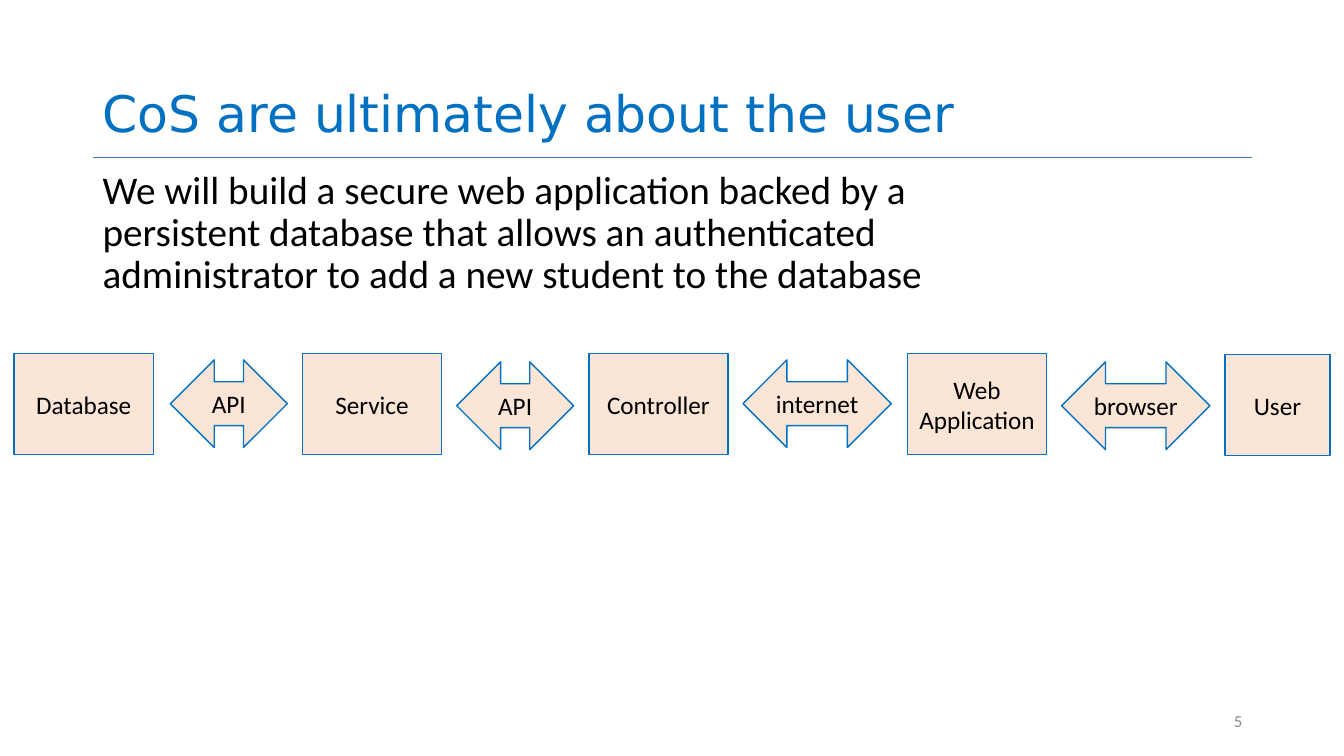
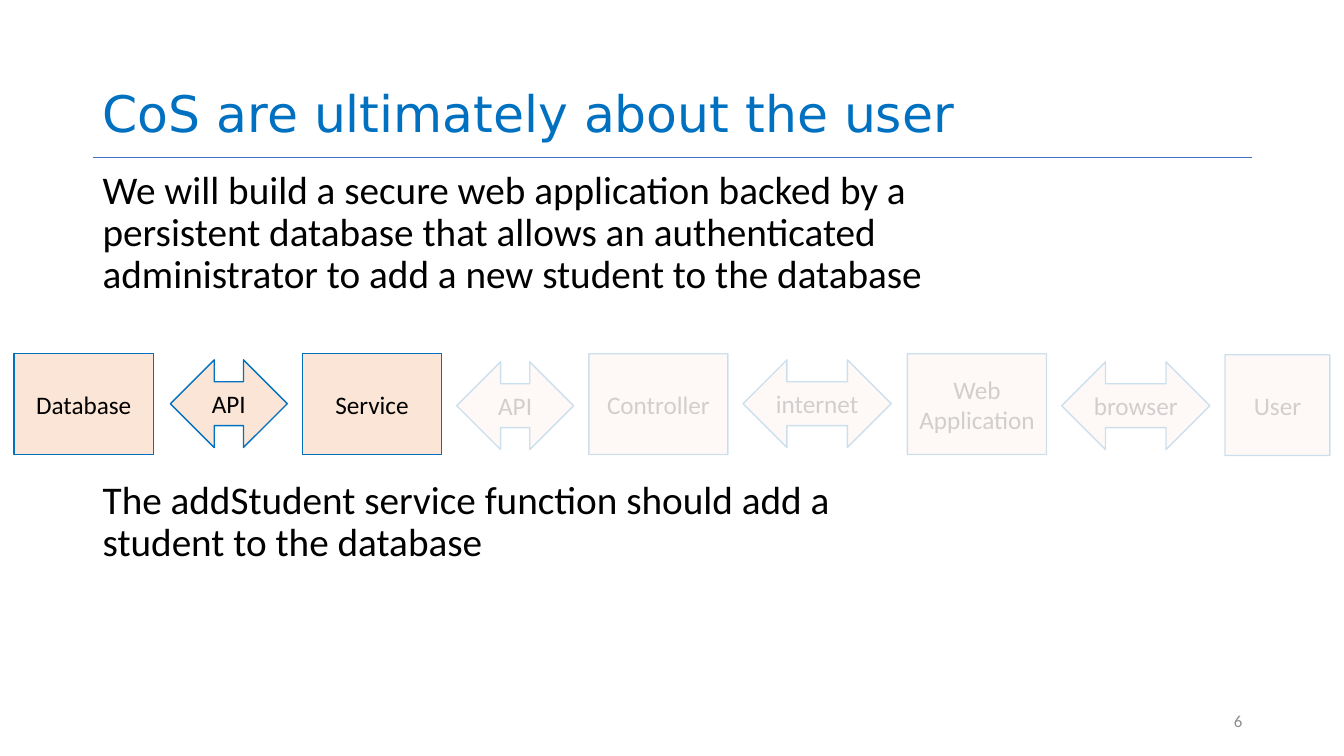
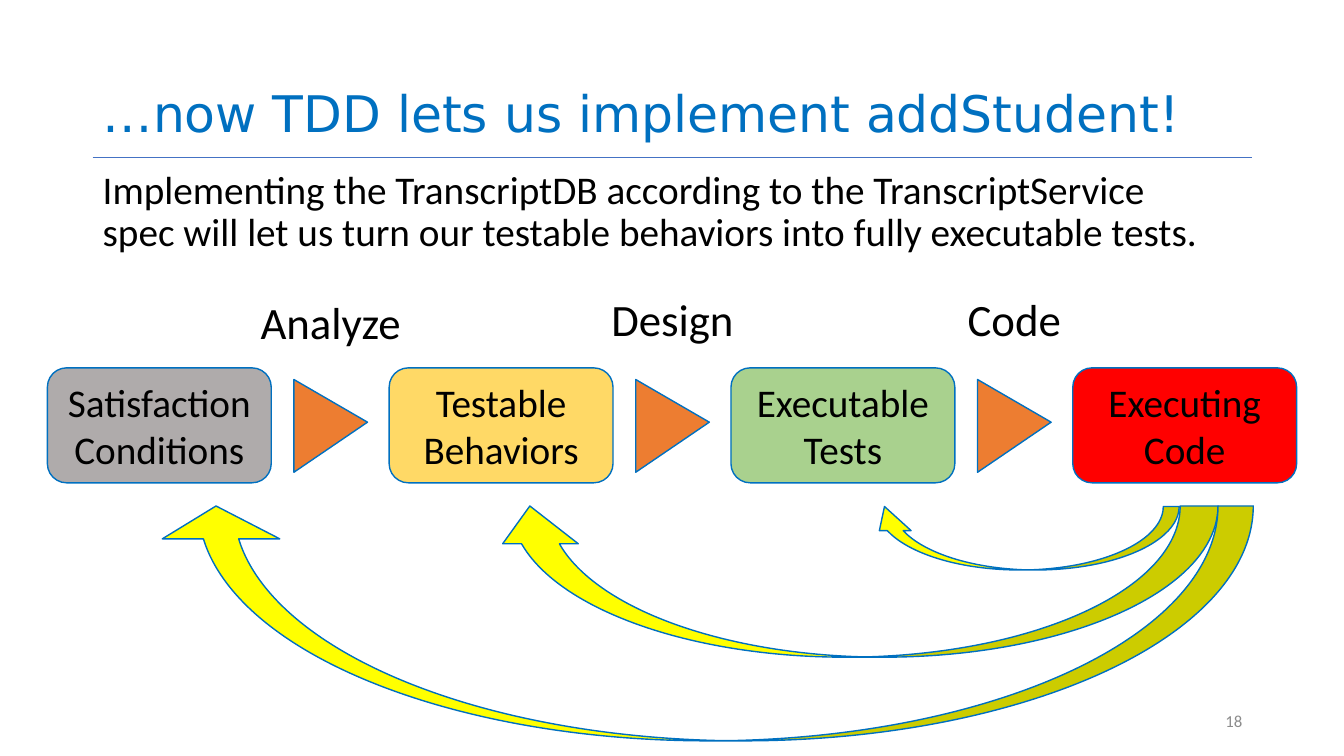
"""Build three slides on conditions of satisfaction and test-driven development."""
import dataclasses

import lxml.etree
import pptx
import pptx.dml.color
import pptx.enum.shapes
import pptx.enum.text
import pptx.shapes.autoshape
import pptx.slide
import pptx.util

Inches = pptx.util.Inches
Pt = pptx.util.Pt
RGBColor = pptx.dml.color.RGBColor
Kind = pptx.enum.shapes.MSO_SHAPE
Align = pptx.enum.text.PP_ALIGN
Anchor = pptx.enum.text.MSO_ANCHOR
Shape = pptx.shapes.autoshape.Shape
Slide = pptx.slide.Slide

BLUE = RGBColor(0x00, 0x70, 0xC0)
RULE = RGBColor(0x44, 0x72, 0xC4)
BLACK = RGBColor(0x00, 0x00, 0x00)
GRAY = RGBColor(0x8C, 0x8C, 0x8C)
PALE = RGBColor(0xD0, 0xCE, 0xCE)
PEACH = RGBColor(0xFB, 0xE5, 0xD6)
STONE = RGBColor(0xAF, 0xAB, 0xAB)
GOLD = RGBColor(0xFF, 0xD9, 0x66)
GREEN = RGBColor(0xA9, 0xD1, 0x8E)
RED = RGBColor(0xFF, 0x00, 0x00)
ORANGE = RGBColor(0xED, 0x7D, 0x31)
YELLOW = RGBColor(0xFF, 0xFF, 0x00)

DRAW = "{http://schemas.openxmlformats.org/drawingml/2006/main}"
FADE = "20000"
LEFT = 0.92
GAP = 0.15
PITCH = 3.39


@dataclasses.dataclass(frozen=True)
class Box:
    left: float
    top: float
    width: float
    height: float

    def place(self) -> tuple[int, ...]:
        return tuple(Inches(side) for side in dataclasses.astuple(self))


@dataclasses.dataclass(frozen=True)
class Style:
    font: dict
    para: dict
    anchor: Anchor = Anchor.MIDDLE


@dataclasses.dataclass(frozen=True)
class Part:
    text: str
    kind: Kind
    top: float
    width: float
    height: float
    gap: float = GAP


@dataclasses.dataclass(frozen=True)
class Stage:
    text: str
    fill: RGBColor


@dataclasses.dataclass(frozen=True)
class Step:
    text: str
    top: float


@dataclasses.dataclass(frozen=True)
class Loop:
    box: Box
    bends: tuple[float, ...]


def face(size: int, color: RGBColor = BLACK, name: str = "Calibri") -> dict:
    return {"size": Pt(size), "name": name, "color": color}


MID = {"alignment": Align.CENTER}
TITLE = Style(face(36, BLUE, "DejaVu Sans"), {"line_spacing": 0.9}, Anchor.BOTTOM)
BODY = Style(face(28), {"line_spacing": 0.9, "space_before": Pt(10)}, Anchor.TOP)
FOOT = Style(face(12, GRAY), {"alignment": Align.RIGHT})
PART = Style(face(18), MID)
FAINT = Style(face(18, PALE), MID)
STAGE = Style(face(28), MID)
STEP = Style(face(32), MID)

RECT = Kind.RECTANGLE
BOTH = Kind.LEFT_RIGHT_ARROW
PARTS = (
    Part("Database", RECT, 3.51, 1.38, 1, 0.14),
    Part("API", BOTH, 3.57, 1.16, 0.87, 0.17),
    Part("Service", RECT, 3.51, 1.38, 1),
    Part("API", BOTH, 3.59, 1.16, 0.87),
    Part("Controller", RECT, 3.51, 1.38, 1),
    Part("internet", BOTH, 3.57, 1.47, 0.87),
    Part("Web Application", RECT, 3.51, 1.38, 1, 0.16),
    Part("browser", BOTH, 3.59, 1.47, 0.87),
    Part("User", RECT, 3.52, 1.04, 1),
)
STAGES = (
    Stage("Satisfaction Conditions", STONE),
    Stage("Testable Behaviors", GOLD),
    Stage("Executable Tests", GREEN),
    Stage("Executing Code", RED),
)
STEPS = (Step("Analyze", 2.89), Step("Design", 2.86), Step("Code", 2.86))
LOOPS = (
    Loop(Box(9.84, 3.8, 0.63, 3.08), (0.25, 0.5, 0.38)),
    Loop(Box(7.73, 2.17, 1.5, 7.2), (0.25, 0.5, 0.25)),
    Loop(Box(5.83, 0.75, 2.33, 10.87), (0.15, 0.5, 0.14)),
)

HEAD = "CoS are ultimately about the user"
GOAL = (
    "We will build a secure web application backed by a persistent database "
    "that allows an authenticated administrator to add a new student to the database"
)
TASK = "The addStudent service function should add a student to the database"
PLAN = (
    "Implementing the TranscriptDB according to the TranscriptService spec "
    "will let us turn our testable behaviors into fully executable tests."
)


def write(shape: Shape, text: str, style: Style) -> None:
    frame = shape.text_frame
    frame.word_wrap = True
    frame.vertical_anchor = style.anchor
    for count, line in enumerate(text.split("\n")):
        para = frame.add_paragraph() if count else frame.paragraphs[0]
        for key, value in style.para.items():
            setattr(para, key, value)
        run = para.add_run()
        run.text = line
        for key, value in style.font.items():
            if key == "color":
                run.font.color.rgb = value
            else:
                setattr(run.font, key, value)


def label(slide: Slide, box: Box, text: str, style: Style) -> Shape:
    shape = slide.shapes.add_textbox(*box.place())
    write(shape, text, style)
    return shape


def block(slide: Slide, kind: Kind, box: Box, fill: RGBColor,
          turn: int = 0, bends: tuple[float, ...] = ()) -> Shape:
    shape = slide.shapes.add_shape(kind, *box.place())
    shape.shadow.inherit = False
    shape.fill.solid()
    shape.fill.fore_color.rgb = fill
    shape.line.color.rgb = BLUE
    shape.line.width = Pt(1)
    shape.rotation = turn
    for count, bend in enumerate(bends):
        shape.adjustments[count] = bend
    return shape


def fade(shape: Shape) -> None:
    for color in list(shape._element.spPr.iter(DRAW + "srgbClr")):
        lxml.etree.SubElement(color, DRAW + "alpha", val=FADE)


def start(deck: pptx.presentation.Presentation, title: str, number: int,
          body: str, wide: float, high: float) -> tuple[Slide, Shape]:
    slide = deck.slides.add_slide(deck.slide_layouts[6])
    rule = slide.shapes.add_connector(
        pptx.enum.shapes.MSO_CONNECTOR.STRAIGHT,
        Inches(LEFT), Inches(1.56), Inches(12.42), Inches(1.56))
    rule.line.color.rgb = RULE
    rule.line.width = Pt(0.5)
    lxml.etree.SubElement(rule._element.spPr, DRAW + "effectLst")
    label(slide, Box(LEFT, 0.02, 11.5, 1.45), title, TITLE)
    text = label(slide, Box(LEFT, 1.64, wide, high), body, BODY)
    label(slide, Box(9.42, 6.95, 3, 0.4), str(number), FOOT)
    return slide, text


def chain(slide: Slide, lit: int) -> None:
    left = 0.0
    for count, part in enumerate(PARTS):
        left += part.gap
        box = Box(left, part.top, part.width, part.height)
        shape = block(slide, part.kind, box, PEACH)
        write(shape, part.text, PART if count < lit else FAINT)
        if count >= lit:
            fade(shape)
        left += part.width


def cycle(slide: Slide) -> None:
    for count, stage in enumerate(STAGES):
        box = Box(0.47 + count * PITCH, 3.65, 2.22, 1.14)
        write(block(slide, Kind.ROUNDED_RECTANGLE, box, stage.fill), stage.text, STAGE)
    for count, step in enumerate(STEPS):
        shift = count * PITCH
        block(slide, Kind.ISOSCELES_TRIANGLE, Box(2.82 + shift, 3.86, 0.92, 0.73),
              ORANGE, 90, (0.46,))
        label(slide, Box(2.08 + shift, step.top, 2.4, 0.6), step.text, STEP)
    for loop in LOOPS:
        block(slide, Kind.CURVED_LEFT_ARROW, loop.box, YELLOW, 90, loop.bends)


def main() -> None:
    deck = pptx.Presentation()
    deck.slide_width = Inches(13.33)
    deck.slide_height = Inches(7.5)

    slide, _ = start(deck, HEAD, 5, GOAL, 8.62, 4.76)
    chain(slide, len(PARTS))

    slide, text = start(deck, HEAD, 6, GOAL + "\n" + TASK, 8.62, 4.76)
    text.text_frame.paragraphs[1].space_before = Pt(131)
    chain(slide, 3)

    slide, _ = start(deck, "…now TDD lets us implement addStudent!", 18, PLAN, 11.29, 1.85)
    cycle(slide)

    deck.save("out.pptx")


if __name__ == "__main__":
    main()
